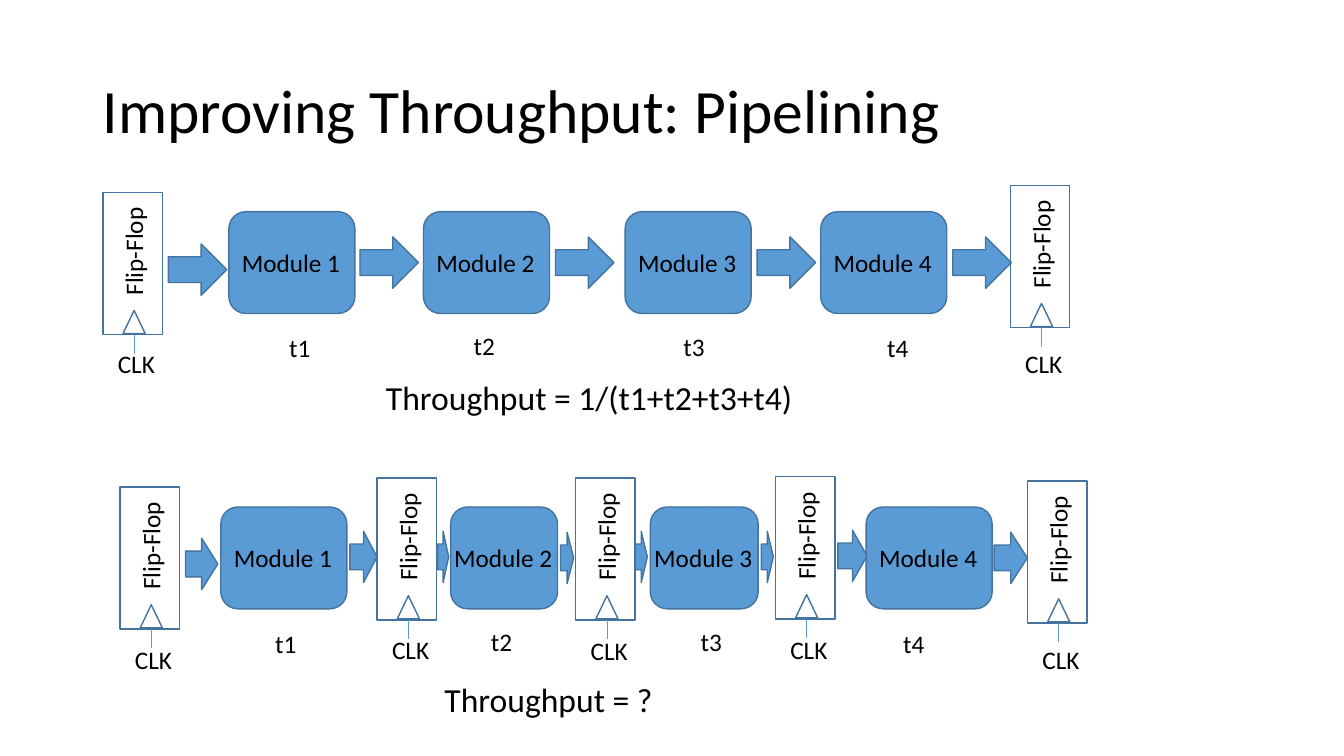
from collections import namedtuple
from lxml import etree
from pptx import Presentation, util as u
from pptx.dml.color import RGBColor
from pptx.enum import shapes, text
from pptx.oxml.ns import qn

Box = namedtuple("Box", "left top width height")
Flop = namedtuple("Flop", "left top clock_top")
Module = namedtuple("Module", "left width time_left time_top")
Arrow = namedtuple("Arrow", "left top width")

BLUE, EDGE, BLACK = "5B9BD5", "43739E", "000000"
KIND = shapes.MSO_SHAPE


def colour(value):
    return RGBColor.from_string(value)


def apply(target, values):
    for name, value in values.items():
        setattr(target, name, value)


def inches(box):
    return [u.Inches(value) for value in box]


def write(frame, words, size):
    para = frame.paragraphs[0]
    span = para.add_run()
    span.text = words
    apply(span.font, {"size": u.Pt(size), "name": "Calibri"})
    span.font.color.rgb = colour(BLACK)
    return para


def add_label(page, words, box, size=18, rotation=0):
    label = page.shapes.add_textbox(*inches(box))
    label.rotation = rotation
    apply(label.text_frame, {"word_wrap": False,
                             "auto_size": text.MSO_AUTO_SIZE.SHAPE_TO_FIT_TEXT})
    write(label.text_frame, words, size)


def add_block(page, kind, box, fill=None):
    block = page.shapes.add_shape(kind, *inches(box))
    block.shadow.inherit = False
    if fill:
        block.fill.solid()
        block.fill.fore_color.rgb = colour(fill)
    else:
        block.fill.background()
    block.line.color.rgb = colour(EDGE)
    block.line.width = u.Pt(1)


def add_wire(page, x, top, bottom):
    wire = page.shapes.add_connector(shapes.MSO_CONNECTOR.STRAIGHT,
                                     *inches((x, bottom, x, top)))
    wire.line.color.rgb = colour(BLUE)
    wire.line.width = u.Pt(0.5)
    etree.SubElement(wire._element.spPr, qn("a:effectLst"))


def add_flip_flop(page, box, clock_top):
    left, top, width, height = box
    bottom = top + height
    add_block(page, KIND.RECTANGLE, box)
    add_block(page, KIND.ISOSCELES_TRIANGLE, Box(left + 0.2, bottom - 0.24, 0.22, 0.23))
    add_label(page, "Flip-Flop", Box(left - 0.24, top + 0.38, 1.08, 0.4), rotation=270)
    add_wire(page, left + 0.31, bottom, bottom + 0.19)
    add_label(page, "CLK", Box(left + 0.05, clock_top, 0.58, 0.4))


def add_module(page, box, number):
    add_block(page, KIND.ROUNDED_RECTANGLE, box, BLUE)
    add_label(page, f"Module {number}",
              Box(box.left + (box.width - 1.19) / 2, box.top + 0.3, 1.19, 0.4))


def add_pipeline(page, box, flops, modules, arrows, result, result_box):
    left, top = box.left, box.top
    for number, module in enumerate(modules, 1):
        add_module(page, Box(left + module.left, top + 0.26, module.width, 1.01), number)
        add_label(page, f"t{number}",
                  Box(left + module.time_left, top + module.time_top, 0.41, 0.4))
    for arrow in arrows:
        add_block(page, KIND.RIGHT_ARROW,
                  Box(left + arrow.left, top + arrow.top, arrow.width, 0.51), BLUE)
    for flop in flops:
        add_flip_flop(page, Box(left + flop.left, top + flop.top, 0.59, 1.41),
                      top + flop.clock_top)
    add_label(page, result, Box(left + result_box.left, top + result_box.top,
                                result_box.width, result_box.height), 24)


def add_title(page, words, box):
    title = page.shapes.title
    apply(title, dict(zip(box._fields, inches(box))))
    title.text_frame.vertical_anchor = text.MSO_ANCHOR.MIDDLE
    para = write(title.text_frame, words, 44)
    apply(para, {"alignment": text.PP_ALIGN.LEFT, "line_spacing": 0.9})


def build_pipelining(page):
    add_title(page, "Improving Throughput: Pipelining", Box(0.92, 0.4, 11.5, 1.45))
    add_pipeline(
        page, Box(1.02, 1.84, 9.59, 2.35),
        [Flop(0, 0.07, 1.57), Flop(9, 0, 1.57)],
        [Module(1.25, 1.25, 1.75, 1.41), Module(3.18, 1.25, 3.58, 1.39),
         Module(5.18, 1.25, 5.66, 1.4), Module(7.12, 1.25, 7.68, 1.41)],
        [Arrow(0.65, 0.58, 0.58)]
        + [Arrow(x, 0.51, 0.58) for x in (2.55, 4.49, 6.49, 8.43)],
        "Throughput = 1/(t1+t2+t3+t4)", Box(2.71, 1.85, 4.27, 0.5))
    add_pipeline(
        page, Box(1.19, 4.77, 9.59, 2.42),
        [Flop(0, 0.06, 1.57), Flop(2.55, -0.03, 1.47), Flop(4.52, -0.03, 1.48),
         Flop(6.5, -0.04, 1.47), Flop(9, 0, 1.57)],
        [Module(1, 1.25, 1.44, 1.41), Module(3.28, 1.06, 3.58, 1.39),
         Module(5.26, 1.07, 5.66, 1.39), Module(7.4, 1.25, 7.67, 1.41)],
        [Arrow(0.65, 0.57, 0.32), Arrow(2.28, 0.5, 0.27), Arrow(3.15, 0.5, 0.11),
         Arrow(4.37, 0.51, 0.13), Arrow(5.11, 0.5, 0.12), Arrow(6.36, 0.5, 0.12),
         Arrow(7.12, 0.49, 0.29), Arrow(8.67, 0.51, 0.33)],
        "Throughput = ?", Box(3.12, 1.92, 2.29, 0.5))


deck = Presentation()
apply(deck, {"slide_width": u.Inches(13.33), "slide_height": u.Inches(7.5)})
build_pipelining(deck.slides.add_slide(deck.slide_layouts[5]))
deck.save("out.pptx")
